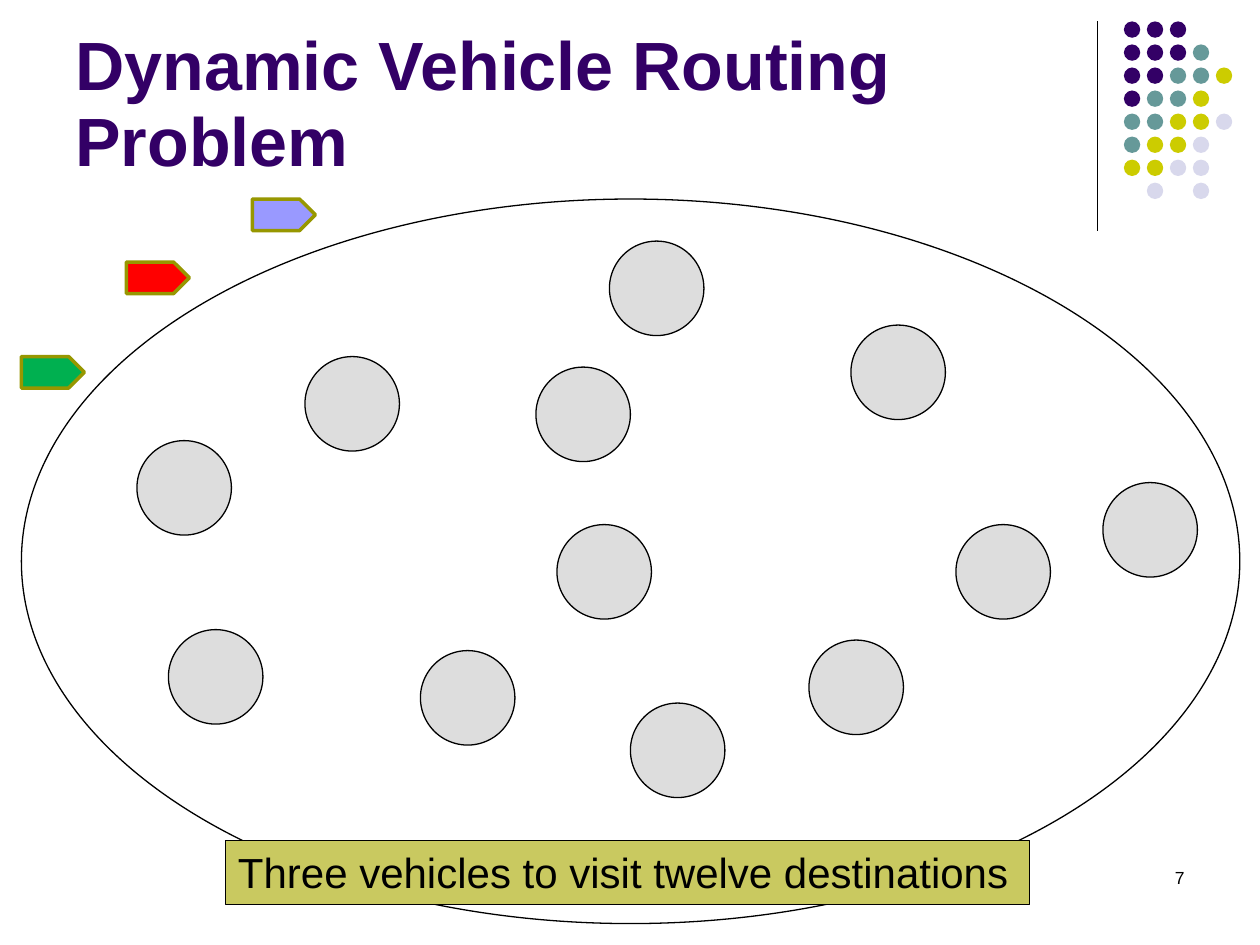
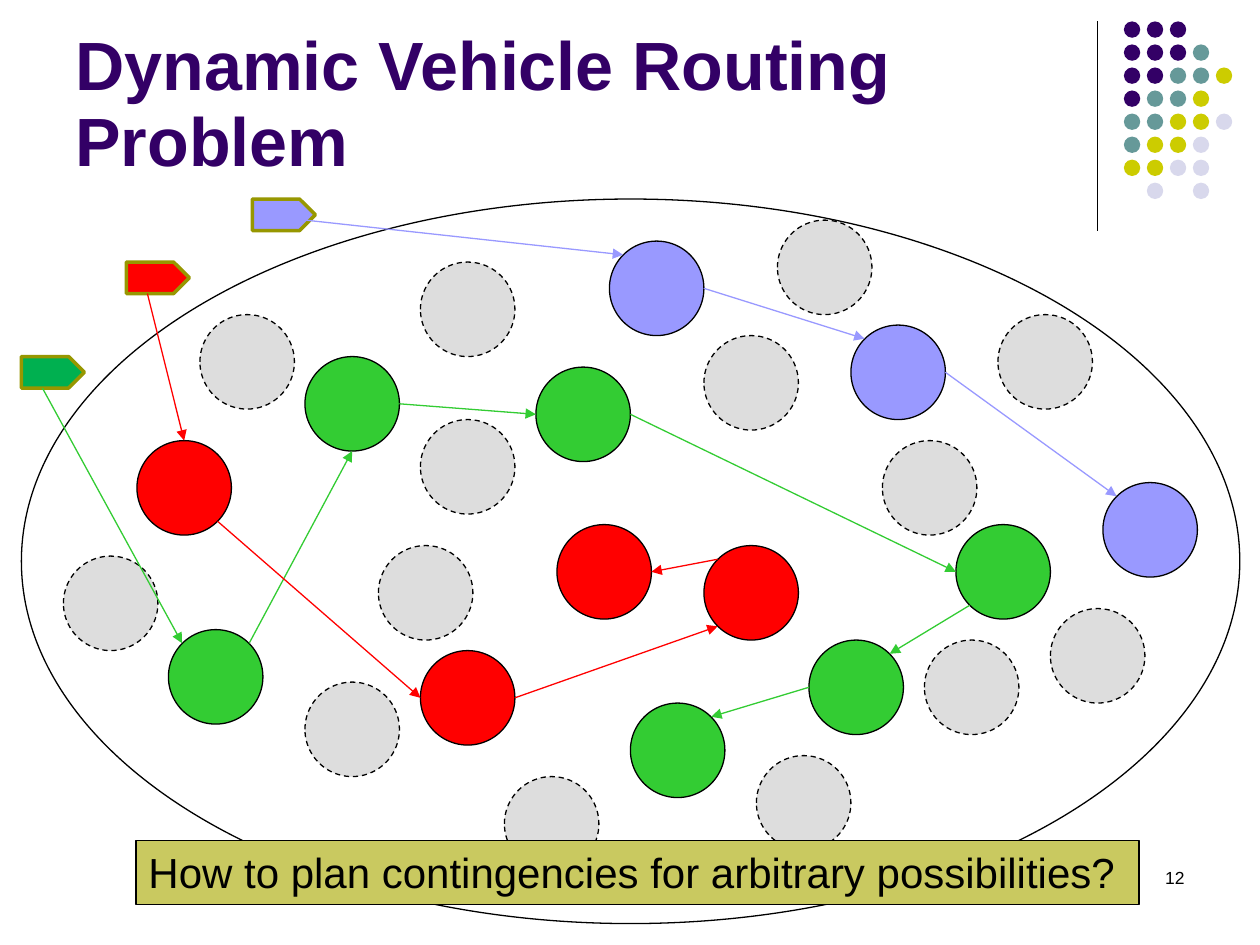
import pptx
import pptx.dml.color
import pptx.enum.dml
import pptx.enum.shapes
import pptx.enum.text
import pptx.oxml.ns
import pptx.util
from lxml import etree

Inches = pptx.util.Inches
Pt = pptx.util.Pt
RGBColor = pptx.dml.color.RGBColor
Shapes = pptx.enum.shapes.MSO_SHAPE

BLACK = RGBColor(0x00, 0x00, 0x00)
PURPLE = RGBColor(0x33, 0x00, 0x66)
TEAL = RGBColor(0x66, 0x99, 0x99)
YELLOW = RGBColor(0xCC, 0xCC, 0x00)
LAVENDER = RGBColor(0xD8, 0xD8, 0xEC)
GREY = RGBColor(0xDD, 0xDD, 0xDD)
OLIVE = RGBColor(0x97, 0x97, 0x00)
KHAKI = RGBColor(0xC9, 0xC9, 0x60)
BLUE = RGBColor(0x99, 0x99, 0xFF)
RED = RGBColor(0xFF, 0x00, 0x00)
GREEN = RGBColor(0x33, 0xCC, 0x33)
DARK_GREEN = RGBColor(0x00, 0xB0, 0x50)

FONT = "Arial"
TITLE = "Dynamic Vehicle Routing Problem"
TITLE_BOX = (0.5, 0.13, 8.25, 1.42)
NUMBER_BOX = (7.17, 6.83, 2.33, 0.5)
DOTS_BOX = (8.92, 0.17, 0.86, 1.41)
MAP_BOX = (0.17, 1.58, 9.67, 5.75)

DOT_SIZE = 0.13
DOT_COLORS = {"P": PURPLE, "T": TEAL, "Y": YELLOW, "L": LAVENDER}
DOT_ROWS = ["PPP", "PPPT", "PPTTY", "PTTY", "TTYYL", "TYYL", "YYLL", " L L"]

CELL = 1 / 12
STOP_SIZE = 0.75
DIAGONAL = 0.71
SITES = {
    "top": (0, -1), "bottom": (0, 1), "left": (-1, 0), "right": (1, 0),
    "top left": (-DIAGONAL, -DIAGONAL), "top right": (DIAGONAL, -DIAGONAL),
    "bottom left": (-DIAGONAL, DIAGONAL), "bottom right": (DIAGONAL, DIAGONAL),
}

# Map positions are in cells; each stop is (position, arrival site, departure site).
ROUTES = [
    {"color": BLUE, "vehicle_color": BLUE, "vehicle": (22, 0), "exit": (5, 2), "stops": [
        ((56, 4), "top left", "right"),
        ((79, 12), "top left", "right"),
        ((103, 27), "top left", None)]},
    {"color": GREEN, "vehicle_color": DARK_GREEN, "vehicle": (0, 15), "exit": (2, 3), "stops": [
        ((14, 41), "top left", "top right"),
        ((27, 15), "bottom", "right"),
        ((49, 16), "left", "right"),
        ((89, 31), "left", "bottom left"),
        ((75, 42), "top right", "left"),
        ((58, 48), "top right", None)]},
    {"color": RED, "vehicle_color": RED, "vehicle": (10, 6), "exit": (2, 3), "stops": [
        ((11, 23), "top", "bottom right"),
        ((38, 43), "left", "right"),
        ((65, 33), "bottom left", "top left"),
        ((51, 31), "right", None)]},
]
NEW_STOP = (65, 33)
POSSIBLE_STOPS = [
    (38, 6), (38, 21), (17, 11), (27, 46), (46, 55), (4, 34), (65, 13),
    (82, 23), (98, 39), (70, 53), (86, 42), (93, 11), (72, 2), (34, 33),
]


def add_figure(slide, kind, box, fill=None, line=None, weight=0.75):
    """Add a preset shape with an optional fill and outline."""
    shape = slide.shapes.add_shape(kind, *map(Inches, box))
    shape.shadow.inherit = False
    if fill is None:
        shape.fill.background()
    else:
        shape.fill.solid()
        shape.fill.fore_color.rgb = fill
    if line is None:
        shape.line.fill.background()
    else:
        shape.line.color.rgb = line
        shape.line.width = Pt(weight)
    return shape


def add_line(slide, start, end, color, arrow=False):
    """Add a thin straight line, optionally ending in an arrowhead."""
    connector = slide.shapes.add_connector(
        pptx.enum.shapes.MSO_CONNECTOR.STRAIGHT, *map(Inches, (*start, *end)))
    connector.line.color.rgb = color
    connector.line.width = Pt(0.75)
    qn = pptx.oxml.ns.qn
    if arrow:
        outline = connector.line._get_or_add_ln()
        etree.SubElement(outline, qn("a:tailEnd"), type="triangle")
    etree.SubElement(connector._element.spPr, qn("a:effectLst"))


def write(shape, text, size, color=BLACK, bold=False,
          align=pptx.enum.text.PP_ALIGN.LEFT, anchor=pptx.enum.text.MSO_ANCHOR.TOP):
    """Write one styled run into a shape and return its paragraph."""
    frame = shape.text_frame
    frame.word_wrap = True
    frame.vertical_anchor = anchor
    paragraph = frame.paragraphs[0]
    paragraph.alignment = align
    run = paragraph.add_run()
    run.text = text
    run.font.name = FONT
    run.font.size = Pt(size)
    run.font.bold = bold
    run.font.color.rgb = color
    return paragraph


def add_dots(slide, box):
    """Draw the corner dot pattern and the rule beside it."""
    left, top, width, height = box
    column_step = (width - DOT_SIZE) / 4
    row_step = (height - DOT_SIZE) / (len(DOT_ROWS) - 1)
    add_line(slide, (left - 0.21, top), (left - 0.21, top + 1.66), BLACK)
    for row, letters in enumerate(DOT_ROWS):
        for column, letter in enumerate(letters):
            if letter in DOT_COLORS:
                dot = (left + column * column_step, top + row * row_step, DOT_SIZE, DOT_SIZE)
                add_figure(slide, Shapes.OVAL, dot, DOT_COLORS[letter])


def add_frame(slide, number):
    """Add the dots, title and slide number shared by all slides."""
    add_dots(slide, DOTS_BOX)
    title = slide.shapes.add_textbox(*map(Inches, TITLE_BOX))
    paragraph = write(title, TITLE, 39, PURPLE, True,
                      anchor=pptx.enum.text.MSO_ANCHOR.MIDDLE)
    paragraph.line_spacing = 0.93
    number_box = slide.shapes.add_textbox(*map(Inches, NUMBER_BOX))
    write(number_box, str(number), 10, align=pptx.enum.text.PP_ALIGN.RIGHT)


def locate(box, position):
    """Convert a cell position on the map to inches on the slide."""
    return box[0] + position[0] * CELL, box[1] + position[1] * CELL


def find_site(box, position, site):
    """Return the point on a stop's rim at the named site."""
    return tuple(corner + STOP_SIZE / 2 * (1 + direction)
                 for corner, direction in zip(locate(box, position), SITES[site]))


def add_stop(slide, box, position, color):
    """Draw one destination circle."""
    circle = (*locate(box, position), STOP_SIZE, STOP_SIZE)
    return add_figure(slide, Shapes.OVAL, circle, color, BLACK)


def add_route(slide, box, route):
    """Draw the arrows from a vehicle through its stops."""
    vehicle, leave = route["vehicle"], route["exit"]
    start = locate(box, (vehicle[0] + leave[0], vehicle[1] + leave[1]))
    for position, arrival, departure in route["stops"]:
        add_line(slide, start, find_site(box, position, arrival), route["color"], arrow=True)
        if departure:
            start = find_site(box, position, departure)


def add_map(slide, box, planned):
    """Draw the service area, its stops and vehicles, and the routes if planned."""
    add_figure(slide, Shapes.OVAL, box, line=BLACK)
    for route in ROUTES:
        for position, _, _ in route["stops"]:
            if planned or position != NEW_STOP:
                add_stop(slide, box, position, route["color"] if planned else GREY)
    if planned:
        for position in POSSIBLE_STOPS:
            stop = add_stop(slide, box, position, GREY)
            stop.line.dash_style = pptx.enum.dml.MSO_LINE.DASH
    for route in ROUTES:
        vehicle = (*locate(box, route["vehicle"]), 0.5, 0.25)
        add_figure(slide, Shapes.PENTAGON, vehicle, route["vehicle_color"], OLIVE, 2)
    if planned:
        for route in ROUTES:
            add_route(slide, box, route)


def add_caption(slide, box, text):
    """Add the banner that states the slide's message."""
    write(add_figure(slide, Shapes.RECTANGLE, box, KHAKI, BLACK), text, 24)


def add_problem_slide(presentation, number, caption, caption_box, planned):
    """Add one slide of the routing problem."""
    slide = presentation.slides.add_slide(presentation.slide_layouts[6])
    add_frame(slide, number)
    add_map(slide, MAP_BOX, planned)
    add_caption(slide, caption_box, caption)


def main():
    """Build and save the presentation."""
    presentation = pptx.Presentation()
    presentation.slide_width = Inches(10)
    presentation.slide_height = Inches(7.5)
    add_problem_slide(presentation, 7, "Three vehicles to visit twelve destinations",
                      (1.79, 6.67, 6.38, 0.51), planned=False)
    add_problem_slide(presentation, 12, "How to plan contingencies for arbitrary possibilities?",
                      (1.08, 6.67, 7.96, 0.51), planned=True)
    presentation.save("out.pptx")


if __name__ == "__main__":
    main()
